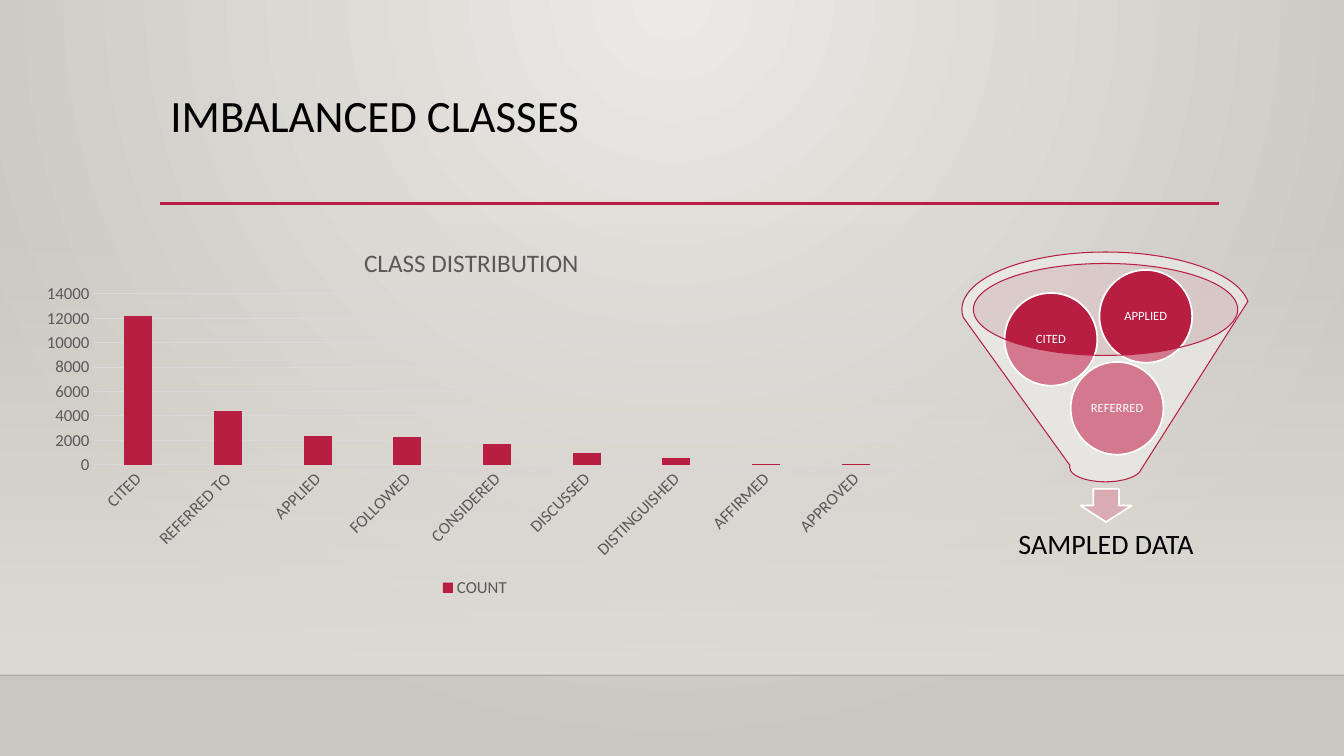
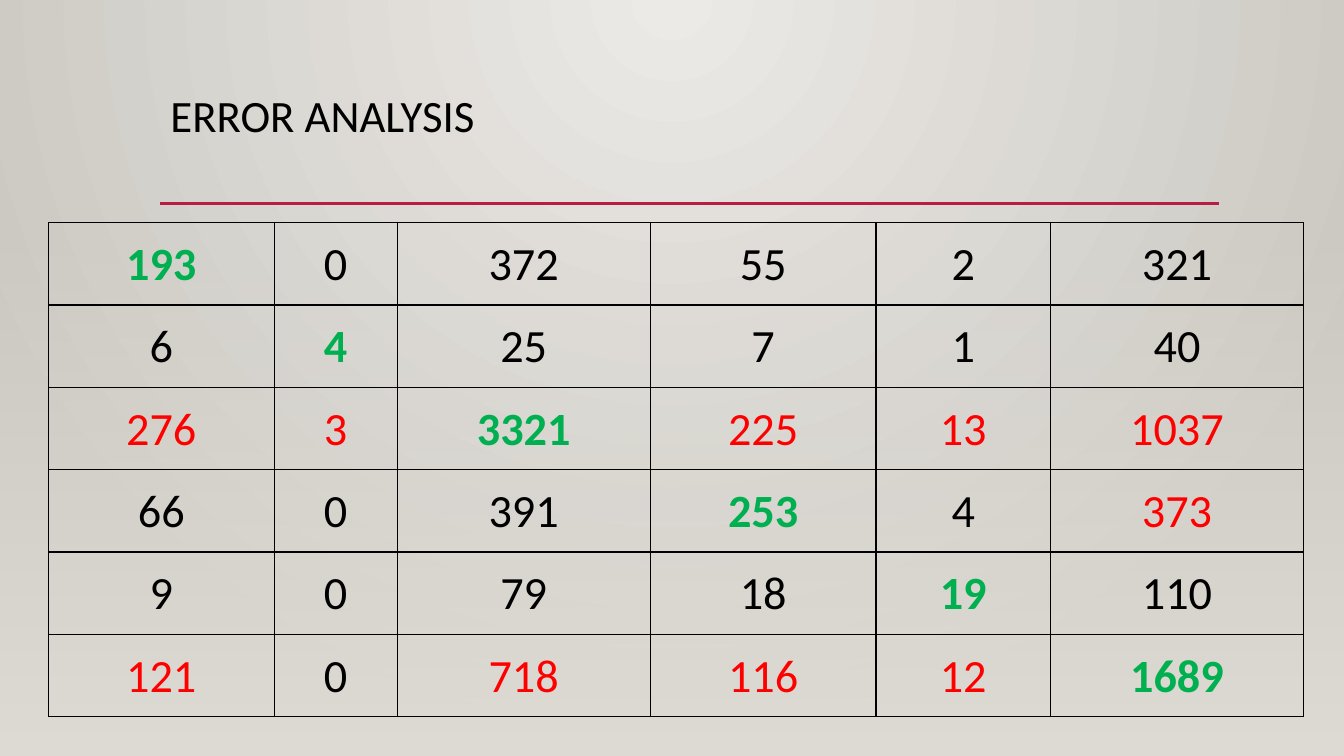
"""Build two slides on class imbalance and error analysis."""
import dataclasses

import lxml.etree
import pptx
import pptx.chart.data
import pptx.dml.color
import pptx.enum.chart
import pptx.enum.shapes
import pptx.enum.text
import pptx.oxml
import pptx.oxml.ns
import pptx.util

CLASS_COUNTS = {
    "CITED": 12200, "REFERRED TO": 4400, "APPLIED": 2400,
    "FOLLOWED": 2300, "CONSIDERED": 1700, "DISCUSSED": 1000,
    "DISTINGUISHED": 600, "AFFIRMED": 100, "APPROVED": 100,
}
SAMPLED_CLASSES = [
    ("REFERRED", 0.54, 0.68),
    ("CITED", 0.31, 0.38),
    ("APPLIED", 0.64, 0.28),
]
CONFUSION = [
    (193, 0, 372, 55, 2, 321),
    (6, 4, 25, 7, 1, 40),
    (276, 3, 3321, 225, 13, 1037),
    (66, 0, 391, 253, 4, 373),
    (9, 0, 79, 18, 19, 110),
    (121, 0, 718, 116, 12, 1689),
]
ERROR_COLUMNS = {2: {0, 1, 3, 4, 5}, 3: {5}, 5: {0, 2, 3, 4}}
COLUMN_WIDTHS = [2.24, 1.22, 2.51, 2.24, 1.73, 2.51]


@dataclasses.dataclass(frozen=True)
class Theme:
    """Colours, font and type sizes."""
    font: str = "Calibri"
    ink: str = "000000"
    accent: str = "B71E42"
    white: str = "FFFFFF"
    muted: str = "595959"
    grid: str = "D9D9D9"
    wall_light: str = "ECEAE7"
    wall_dark: str = "CAC7C1"
    band: str = "DFDBD5"
    floor: str = "000001"
    rim: str = "DFBDC0"
    arrow: str = "D8ACB0"
    correct: str = "00B050"
    error: str = "FF0000"
    title: int = 32
    cell: int = 33
    result: int = 20
    chart_title: int = 18
    axis: int = 12
    ball: int = 9


THEME = Theme()
WIDTH, HEIGHT = 13.33, 7.5
MARGIN, TITLE_TOP, TITLE_WIDTH, TITLE_HEIGHT = 1.59, 0.88, 10.5, 1.15
RULE_TOP, BAND_TOP, FLOOR = 2.02, 2.21, 6.7
FUNNEL_LEFT, FUNNEL_TOP, FUNNEL_WIDTH, FUNNEL_HEIGHT = 9.54, 2.5, 2.85, 2.28
BALL = 0.92

SHAPE = pptx.enum.shapes.MSO_SHAPE
CENTER = pptx.enum.text.PP_ALIGN.CENTER
MIDDLE = pptx.enum.text.MSO_ANCHOR.MIDDLE
inches = pptx.util.Inches
qn = pptx.oxml.ns.qn


def rgb(color):
    return pptx.dml.color.RGBColor.from_string(color)


def style_font(font, size, color, bold=False):
    font.name, font.size, font.bold = THEME.font, pptx.util.Pt(size), bold
    font.color.rgb = rgb(color)


def write(frame, text, size, color, inset=0.1, align=CENTER, bold=False, spacing=0.9):
    frame.word_wrap = True
    frame.vertical_anchor = MIDDLE
    frame.margin_left = frame.margin_right = inches(inset)
    frame.margin_top = frame.margin_bottom = inches(inset)
    paragraph = frame.paragraphs[0]
    paragraph.alignment, paragraph.line_spacing = align, spacing
    run = paragraph.add_run()
    run.text = text
    style_font(run.font, size, color, bold)


def set_alpha(shape, percent):
    color = next(shape.element.spPr.iter(qn("a:srgbClr")))
    lxml.etree.SubElement(color, qn("a:alpha")).set("val", str(percent * 1000))


def set_gradient(properties, start, end, direction, start_alpha=100):
    gradient = pptx.oxml.parse_xml(
        f'<a:gradFill {pptx.oxml.ns.nsdecls("a")} rotWithShape="1"><a:gsLst>'
        f'<a:gs pos="0"><a:srgbClr val="{start}">'
        f'<a:alpha val="{start_alpha * 1000}"/></a:srgbClr></a:gs>'
        f'<a:gs pos="100000"><a:srgbClr val="{end}"/></a:gs>'
        f'</a:gsLst>{direction}</a:gradFill>')
    properties.replace(properties.find(qn("a:noFill")), gradient)


def add_shape(slide, kind, box, fill=None, line=None, weight=1.25):
    shape = slide.shapes.add_shape(kind, *map(inches, box))
    shape.shadow.inherit = False
    if fill:
        shape.fill.solid()
        shape.fill.fore_color.rgb = rgb(fill)
    else:
        shape.fill.background()
    if line:
        shape.line.color.rgb = rgb(line)
        shape.line.width = pptx.util.Pt(weight)
    else:
        shape.line.fill.background()
    return shape


def add_rule(slide, left, right, top, color, weight):
    rule = slide.shapes.add_connector(
        pptx.enum.shapes.MSO_CONNECTOR.STRAIGHT, *map(inches, (left, top, right, top)))
    rule.line.color.rgb = rgb(color)
    rule.line.width = pptx.util.Pt(weight)
    lxml.etree.SubElement(rule.element.spPr, qn("a:effectLst"))
    return rule


def prepare_master(deck):
    master = deck.slide_master
    master.background.fill.background()
    set_gradient(master.element.cSld.bg.bgPr, THEME.wall_light, THEME.wall_dark,
                 '<a:path path="circle">'
                 '<a:fillToRect l="43000" t="0" r="43000" b="100000"/></a:path>')
    layout = deck.slide_layouts.get_by_name("Title Only")
    heading = layout.placeholders[0]
    heading.left, heading.top = inches(MARGIN), inches(TITLE_TOP)
    heading.width, heading.height = inches(TITLE_WIDTH), inches(TITLE_HEIGHT)
    return layout


def start_slide(deck, layout, title, band_bottom):
    slide = deck.slides.add_slide(layout)
    band = add_shape(slide, SHAPE.RECTANGLE, (0, BAND_TOP, WIDTH, band_bottom - BAND_TOP))
    set_gradient(band.element.spPr, THEME.band, THEME.band,
                 '<a:lin ang="5400000" scaled="0"/>', start_alpha=0)
    if band_bottom < HEIGHT:
        set_alpha(add_rule(slide, 0, WIDTH, FLOOR, THEME.floor, 1), 20)
    add_rule(slide, MARGIN, MARGIN + TITLE_WIDTH, RULE_TOP, THEME.accent, 2.5)
    frame = slide.shapes.title.text_frame
    write(frame, title, THEME.title, THEME.ink, align=pptx.enum.text.PP_ALIGN.LEFT)
    frame.margin_top = frame.margin_bottom = inches(0.05)
    frame.vertical_anchor = pptx.enum.text.MSO_ANCHOR.TOP
    return slide


def set_layout(part, position, **shares):
    old = part.find(qn("c:layout"))
    if old is not None:
        part.remove(old)
    target = '<c:layoutTarget val="inner"/>' if "w" in shares else ""
    modes = "".join(f'<c:{side}Mode val="edge"/>' for side in "xy")
    values = "".join(f'<c:{side} val="{share}"/>' for side, share in shares.items())
    part.insert(position, pptx.oxml.parse_xml(
        f'<c:layout {pptx.oxml.ns.nsdecls("c")}><c:manualLayout>'
        f'{target}{modes}{values}</c:manualLayout></c:layout>'))


def add_distribution(slide):
    data = pptx.chart.data.CategoryChartData()
    data.categories = list(CLASS_COUNTS)
    data.add_series("COUNT", list(CLASS_COUNTS.values()))
    chart = slide.shapes.add_chart(
        pptx.enum.chart.XL_CHART_TYPE.COLUMN_CLUSTERED,
        *map(inches, (0.31, 2.2, 8.8, 3.77)), data).chart
    style_font(chart.font, 10, THEME.ink)
    chart.has_title = True
    heading = chart.chart_title.text_frame.paragraphs[0].add_run()
    heading.text = "CLASS DISTRIBUTION"
    style_font(heading.font, THEME.chart_title, THEME.muted)
    chart.has_legend = True
    chart.legend.position = pptx.enum.chart.XL_LEGEND_POSITION.BOTTOM
    chart.legend.include_in_layout = False
    style_font(chart.legend.font, THEME.axis, THEME.muted)

    plot = chart.plots[0]
    plot.vary_by_categories, plot.gap_width, plot.overlap = False, 219, -27
    columns = plot.series[0].format.fill
    columns.solid()
    columns.fore_color.rgb = rgb(THEME.accent)

    classes, counts = chart.category_axis, chart.value_axis
    for axis in (classes, counts):
        axis.major_tick_mark = pptx.enum.chart.XL_TICK_MARK.NONE
        style_font(axis.tick_labels.font, THEME.axis, THEME.muted)
    counts.minimum_scale, counts.maximum_scale, counts.major_unit = 0, 14000, 2000
    counts.format.line.fill.background()
    for line in (classes.format.line, counts.major_gridlines.format.line):
        line.color.rgb = rgb(THEME.grid)
        line.width = pptx.util.Pt(0.75)

    body = chart.chart_title.text_frame._txBody.getroottree().getroot().find(qn("c:chart"))
    plot_area = body.find(qn("c:plotArea"))
    labels = plot_area.find(qn("c:catAx")).find(qn("c:txPr")).find(qn("a:bodyPr"))
    labels.set("rot", str(-45 * 60000))
    labels.set("vert", "horz")
    set_layout(body.find(qn("c:title")), 1, x=0.37, y=0.05)
    set_layout(plot_area, 0, x=0.07, y=0.19, w=0.91, h=0.45)


def add_funnel(slide):
    middle = FUNNEL_LEFT + FUNNEL_WIDTH / 2
    rim = add_shape(slide, SHAPE.OVAL,
                    (FUNNEL_LEFT + 0.11, FUNNEL_TOP + 0.11, FUNNEL_WIDTH - 0.22, 0.91),
                    THEME.rim)
    set_alpha(rim, 40)
    add_shape(slide, SHAPE.DOWN_ARROW, (middle - 0.25, 4.85, 0.51, 0.33),
              THEME.arrow, THEME.white)
    result = slide.shapes.add_textbox(*map(inches, (middle - 1.22, 5.11, 2.45, 0.61)))
    write(result.text_frame, "SAMPLED DATA", THEME.result, THEME.ink, 0.16)
    for name, across, down in SAMPLED_CLASSES:
        ball = add_shape(slide, SHAPE.OVAL,
                         (FUNNEL_LEFT + across * FUNNEL_WIDTH - BALL / 2,
                          FUNNEL_TOP + down * FUNNEL_HEIGHT - BALL / 2, BALL, BALL),
                         THEME.accent, THEME.white)
        write(ball.text_frame, name, THEME.ball, THEME.white, 0.01)
    funnel = add_shape(slide, SHAPE.FUNNEL,
                       (FUNNEL_LEFT, FUNNEL_TOP, FUNNEL_WIDTH, FUNNEL_HEIGHT),
                       THEME.white, THEME.accent, 0.75)
    set_alpha(funnel, 40)


def add_borders(cell):
    properties = cell._tc.get_or_add_tcPr()
    for position, side in enumerate("LRTB"):
        properties.insert(position, pptx.oxml.parse_xml(
            f'<a:ln{side} {pptx.oxml.ns.nsdecls("a")} w="12700"><a:solidFill>'
            f'<a:srgbClr val="{THEME.ink}"/></a:solidFill></a:ln{side}>'))


def add_confusion(slide):
    table = slide.shapes.add_table(
        len(CONFUSION), len(COLUMN_WIDTHS),
        *map(inches, (0.48, BAND_TOP, sum(COLUMN_WIDTHS), 4.9))).table
    table.first_row = table.horz_banding = False
    for column, width in zip(table.columns, COLUMN_WIDTHS):
        column.width = inches(width)
    for r, counts in enumerate(CONFUSION):
        for c, count in enumerate(counts):
            cell = table.cell(r, c)
            cell.fill.background()
            add_borders(cell)
            color = THEME.error if c in ERROR_COLUMNS.get(r, ()) else THEME.ink
            if r == c:
                color = THEME.correct
            write(cell.text_frame, str(count), THEME.cell, color, bold=r == c, spacing=1.0)
            cell.vertical_anchor = MIDDLE
            cell.margin_left = cell.margin_right = cell.margin_top = inches(0.02)
            cell.margin_bottom = 0


def main():
    deck = pptx.Presentation()
    deck.slide_width, deck.slide_height = inches(WIDTH), inches(HEIGHT)
    layout = prepare_master(deck)
    imbalance = start_slide(deck, layout, "IMBALANCED CLASSES", FLOOR)
    add_distribution(imbalance)
    add_funnel(imbalance)
    analysis = start_slide(deck, layout, "ERROR ANALYSIS", HEIGHT)
    add_confusion(analysis)
    deck.save("out.pptx")


main()
